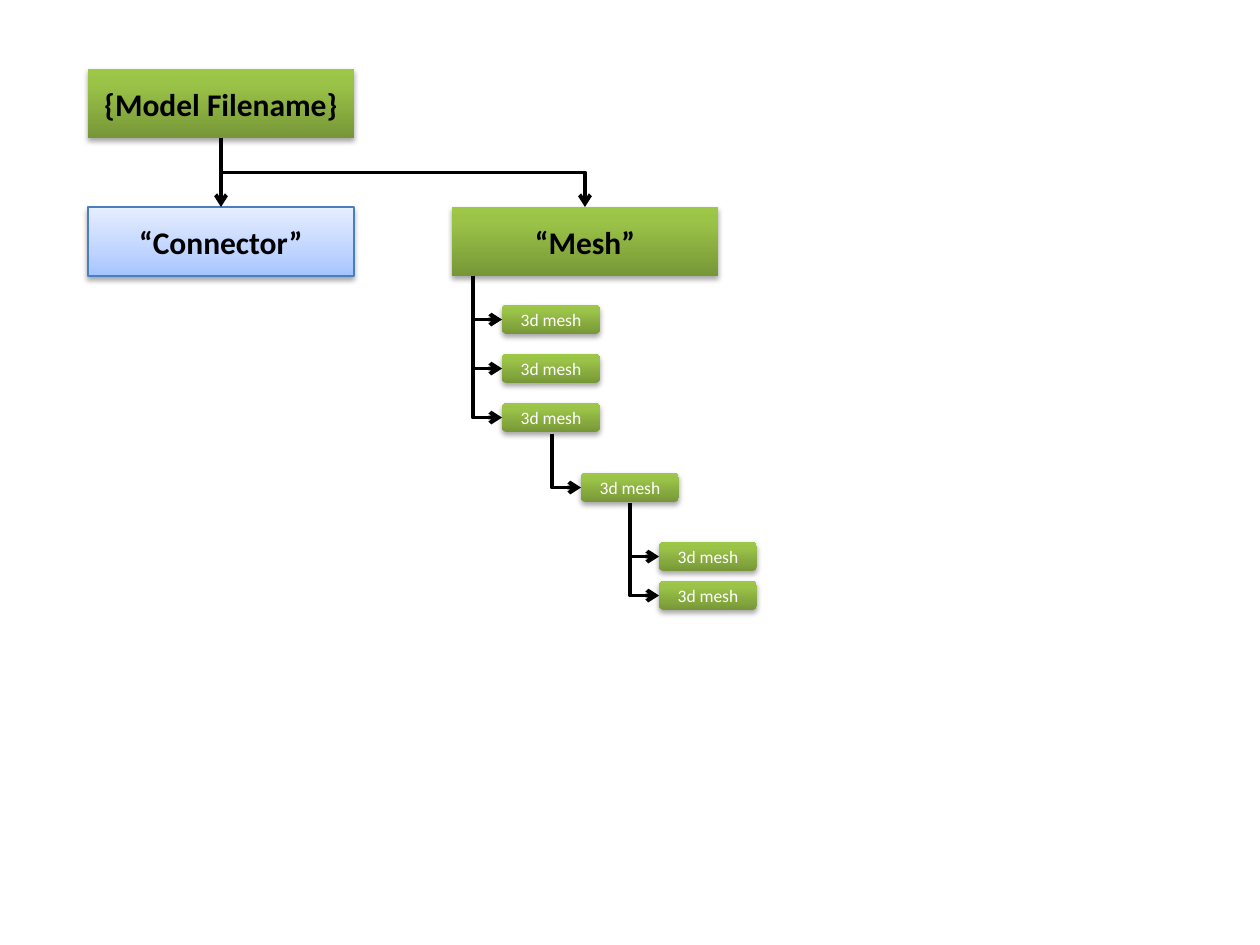
from dataclasses import dataclass
from lxml.etree import SubElement
from pptx import Presentation
from pptx.dml.color import RGBColor
from pptx.enum.shapes import MSO_CONNECTOR, MSO_SHAPE
from pptx.enum.text import MSO_ANCHOR, PP_ALIGN
from pptx.oxml.ns import qn
from pptx.util import Emu, Pt


@dataclass(frozen=True)
class Theme:
    """Colours, gradients and type sizes of the slide."""
    font: str = "Calibri"
    black: str = "000000"
    white: str = "FFFFFF"
    edge: str = "4B7EBC"
    green: tuple = ((0, "779737"), (80, "9BC348"), (100, "9DC746"))
    blue: tuple = ((0, "A4C4FF"), (35, "BFD4FF"), (100, "E6EEFF"))
    head: int = 18
    body: int = 10


THEME = Theme()
SCALE = 914400 / 126
NODE = (266, 69)
CHIP = (98, 29)
GAP = 29
RISE = 54


def px(value):
    """Turn pixels into EMU."""
    return Emu(round(value * SCALE))


def add(parent, tag, **attrs):
    """Append a drawing element with attributes."""
    return SubElement(parent, qn(tag), {k: str(v) for k, v in attrs.items()})


def shade(shape, stops):
    """Fill a shape with an upward gradient and drop a soft shadow."""
    shape.fill.gradient()
    shape.fill.gradient_angle = 90
    spots = shape._element.spPr.find(".//" + qn("a:gsLst"))
    for old in list(spots):
        spots.remove(old)
    for pos, color in stops:
        stop = add(spots, "a:gs", pos=pos * 1000)
        add(stop, "a:srgbClr", val=color)
    shape.shadow.inherit = False
    glow = shape._element.spPr.find(qn("a:effectLst"))
    drop = add(glow, "a:outerShdw", blurRad=Pt(3.1), dist=Pt(1.8),
               dir=5400000, rotWithShape=0)
    tone = add(drop, "a:srgbClr", val=THEME.black)
    add(tone, "a:alpha", val=35000)


def block(slide, box, text, kind, stops, size, color, bold=False, edge=None):
    """Place one shaded block with centred text."""
    shape = slide.shapes.add_shape(kind, *map(px, box))
    shade(shape, stops)
    if edge:
        shape.line.color.rgb = RGBColor.from_string(edge)
        shape.line.width = Pt(0.75)
    else:
        shape.line.fill.background()
    frame = shape.text_frame
    frame.vertical_anchor = MSO_ANCHOR.MIDDLE
    line = frame.paragraphs[0]
    line.alignment = PP_ALIGN.CENTER
    run = line.add_run()
    run.text = text
    run.font.name, run.font.size, run.font.bold = THEME.font, Pt(size), bold
    run.font.color.rgb = RGBColor.from_string(color)


def node(slide, left, top, text, stops=THEME.green, edge=None):
    """Place a large titled node."""
    block(slide, (left, top, *NODE), text, MSO_SHAPE.RECTANGLE, stops,
          THEME.head, THEME.black, True, edge)


def arrow(slide, start, end, bend=None):
    """Draw an arrow, straight or leaving downward with the given bend."""
    (x1, y1), (x2, y2) = start, end
    wide, tall = x2 - x1, y2 - y1
    kind = MSO_CONNECTOR.STRAIGHT
    if bend:
        kind = MSO_CONNECTOR.ELBOW
        x1, y1 = x1 + (wide - tall) / 2, y1 + (tall - wide) / 2
        wide, tall = tall, wide
    link = slide.shapes.add_connector(
        kind, *map(px, (x1, y1, x1 + wide, y1 + tall)))
    link.line.color.rgb = RGBColor.from_string(THEME.black)
    link.line.width = Pt(2.25)
    props = link._element.spPr
    if bend:
        props.find(qn("a:prstGeom")).set("prst", bend)
        frame = props.find(qn("a:xfrm"))
        frame.set("rot", "16200000")
        frame.set("flipH", "1")
    add(props.find(qn("a:ln")), "a:tailEnd", type="arrow")
    add(props, "a:effectLst")


def stack(slide, left, top, count=1, pitch=0, rise=RISE):
    """Stack mesh chips, each fed by an elbow arrow from its left."""
    for i in range(count):
        y = top + i * pitch
        mid = y + CHIP[1] / 2
        block(slide, (left, y, *CHIP), "3d mesh", MSO_SHAPE.ROUNDED_RECTANGLE,
              THEME.green, THEME.body, THEME.white)
        lift = RISE if i else rise
        arrow(slide, (left - GAP, mid - lift), (left, mid), "bentConnector2")


def top_tree(slide, left, top):
    """Place the root node and its two children."""
    wide, tall = NODE
    low, side = top + 2 * tall, left + 364
    mid = left + wide / 2
    node(slide, left, top, "{Model Filename}")
    node(slide, left, low, "“Connector”", THEME.blue, THEME.edge)
    node(slide, side, low, "“Mesh”")
    arrow(slide, (mid, top + tall), (mid, low))
    arrow(slide, (mid, top + tall), (side + wide / 2, low), "bentConnector3")


def mesh_tree(slide, left, top):
    """Place the three nested levels of mesh chips."""
    stack(slide, left, top, 3, 49, 44)
    stack(slide, left + 79, top + 168)
    stack(slide, left + 157, top + 237, 2, 39)


def main():
    """Build and save the slide."""
    deck = Presentation()
    deck.slide_width, deck.slide_height = px(1260), px(945)
    slide = deck.slides.add_slide(deck.slide_layouts[6])
    top_tree(slide, 88, 69)
    mesh_tree(slide, 502, 305)
    deck.save("out.pptx")


if __name__ == "__main__":
    main()
